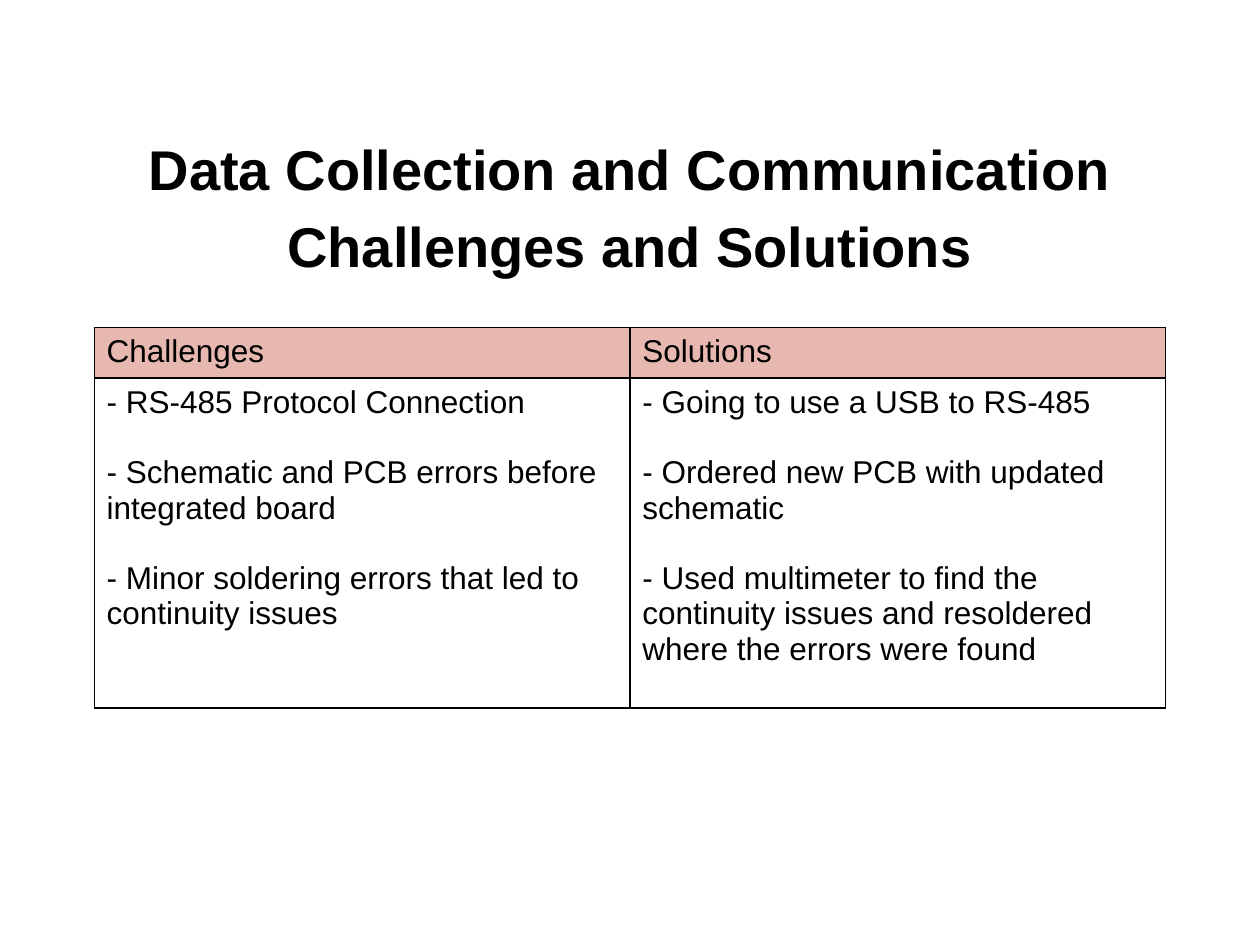
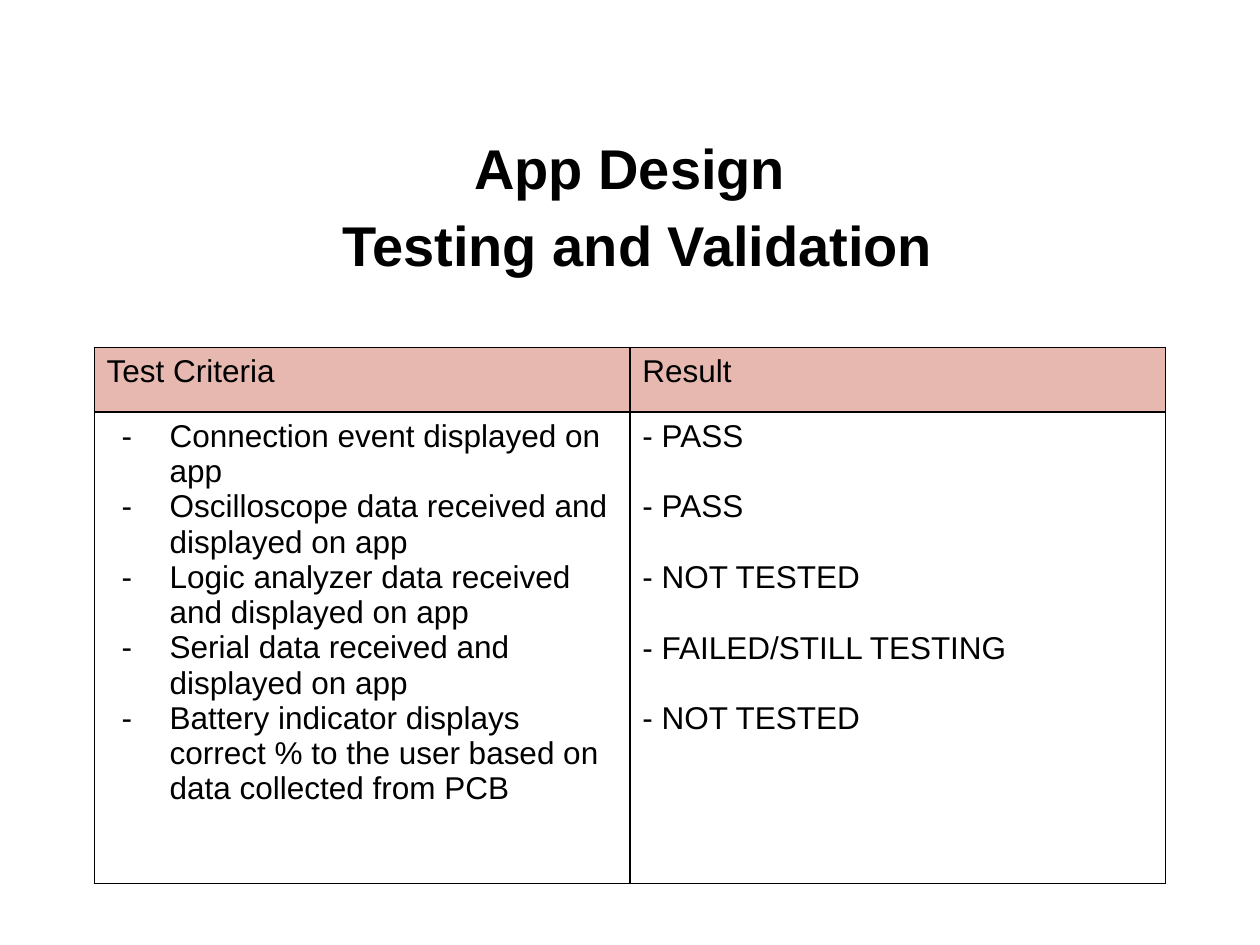
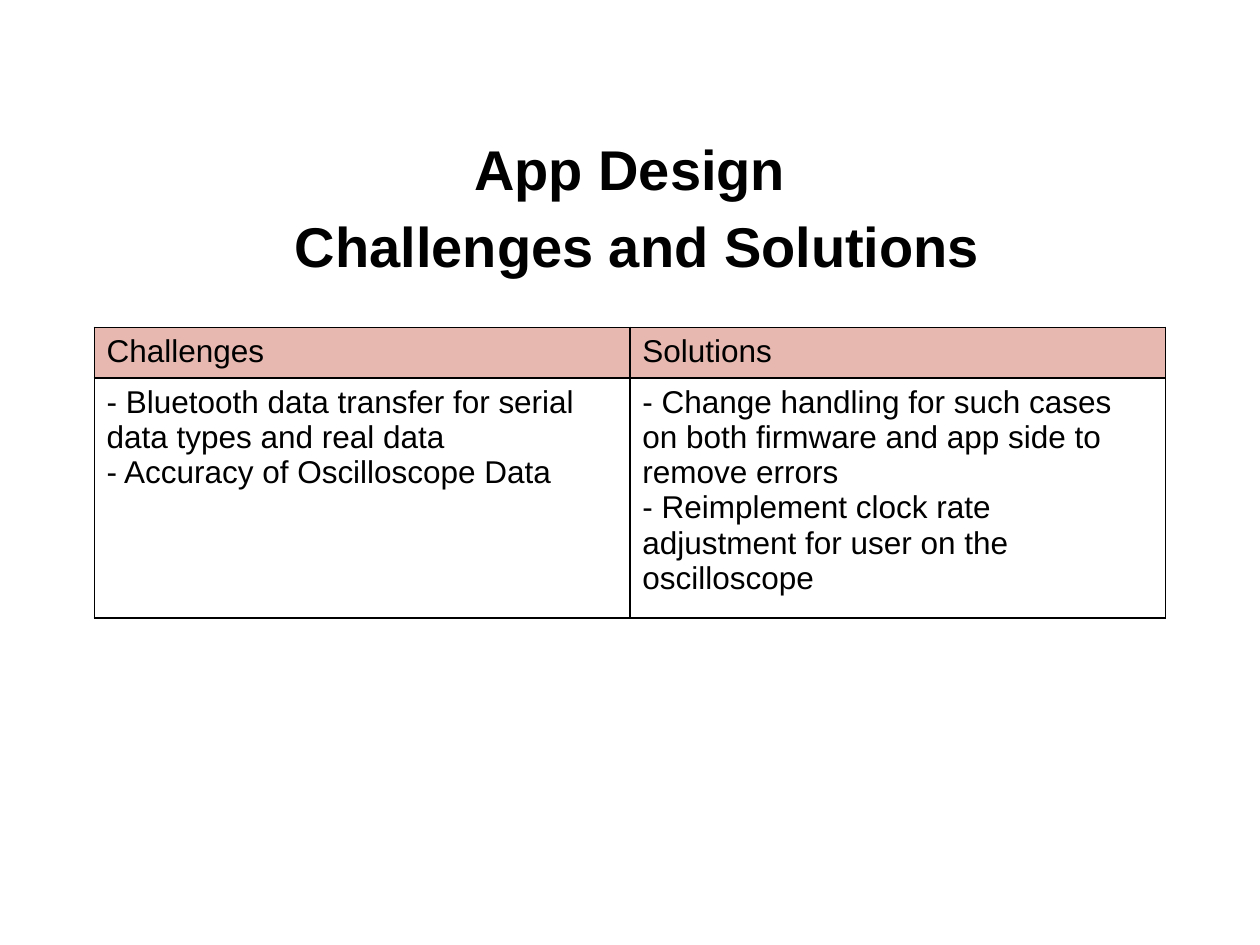
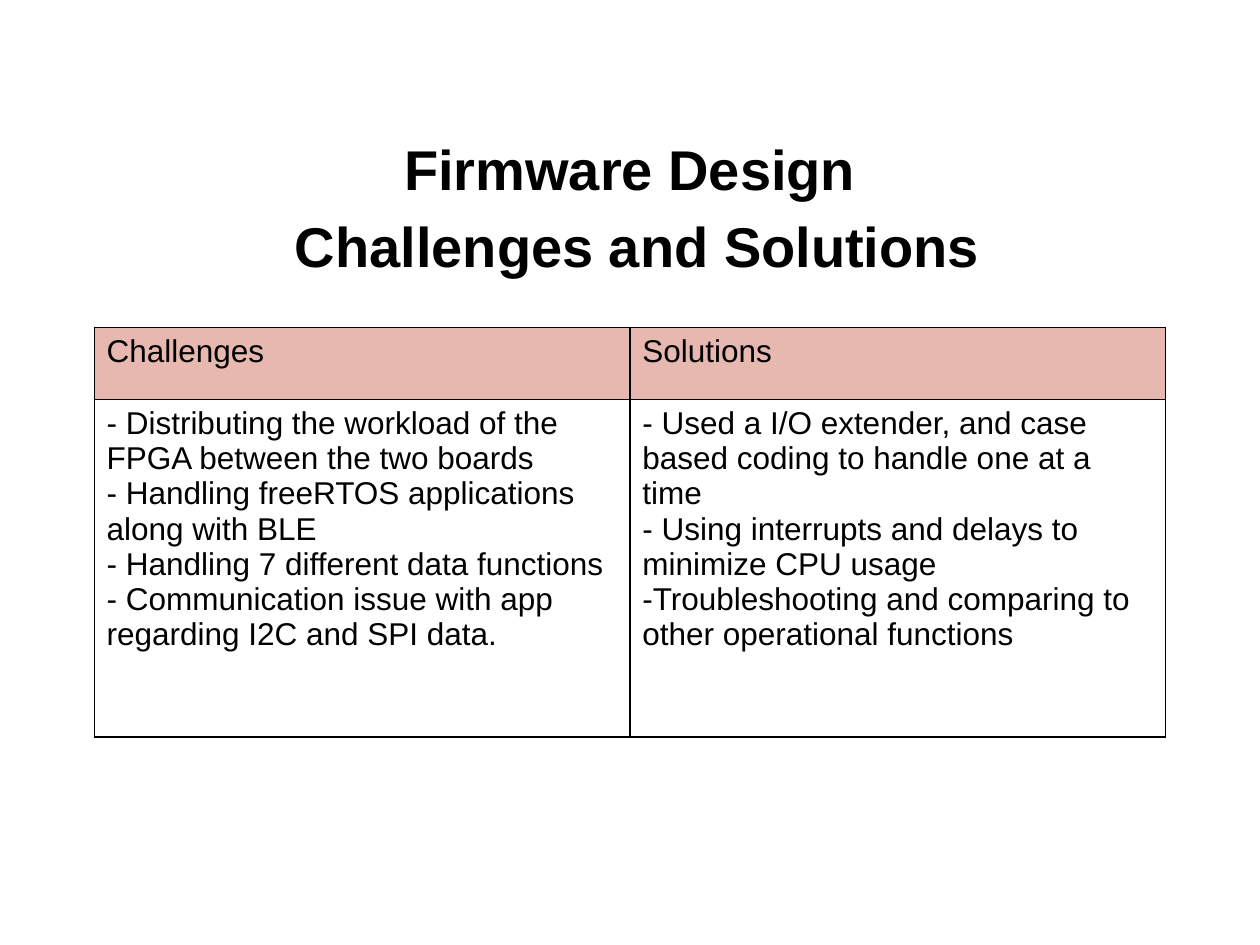
"""Build four slides, each with a centred title over a two-column table."""
import dataclasses

import pptx
import pptx.dml.color
import pptx.enum.text
import pptx.oxml
import pptx.oxml.ns
import pptx.util

Cm = pptx.util.Cm
Pt = pptx.util.Pt

FONT = "Arial"
BLACK = "000000"
HEADER_FILL = "E6B8AF"
BLANK_LINE = 20.2
MARGIN_X, MARGIN_Y = Cm(0.25), Cm(0.13)
INSETS = {"margin_left": MARGIN_X, "margin_right": MARGIN_X,
          "margin_top": MARGIN_Y, "margin_bottom": MARGIN_Y}


@dataclasses.dataclass
class Column:
    """Heading and entries of one table column."""
    heading: str
    entries: list[str]
    gap: float = 0
    bulleted: bool = False


@dataclasses.dataclass
class TableSlide:
    """Content and vertical layout of one slide, in centimetres."""
    title: list[str]
    columns: list[Column]
    header_height: float
    body_height: float
    title_top: float = 2.95
    table_top: float = 6.6


SLIDES = [
    TableSlide(
        ["Data Collection and Communication Challenges and Solutions"],
        [Column("Challenges", [
            "- RS-485 Protocol Connection",
            "- Schematic and PCB errors before integrated board",
            "- Minor soldering errors that led to continuity issues"], gap=BLANK_LINE),
         Column("Solutions", [
             "- Going to use a USB to RS-485",
             "- Ordered new PCB with updated schematic",
             "- Used multimeter to find the continuity issues and resoldered "
             "where the errors were found"], gap=BLANK_LINE)],
        header_height=0.97, body_height=6.65),
    TableSlide(
        ["App Design", "Testing and Validation"],
        [Column("Test Criteria", [
            "Connection event displayed on app",
            "Oscilloscope data received and displayed on app",
            "Logic analyzer data received and displayed on app",
            "Serial data received and displayed on app",
            "Battery indicator displays correct % to the user based on data "
            "collected from PCB"], bulleted=True),
         Column("Result", ["- PASS", "- PASS", "- NOT TESTED",
                           "- FAILED/STILL TESTING", "- NOT TESTED"], gap=BLANK_LINE)],
        header_height=1.3, body_height=9.5, title_top=2.92, table_top=7.01),
    TableSlide(
        ["App Design", "Challenges and Solutions"],
        [Column("Challenges", [
            "- Bluetooth data transfer for serial data types and real data",
            "- Accuracy of Oscilloscope Data"]),
         Column("Solutions", [
             "- Change handling for such cases on both firmware and app side "
             "to remove errors",
             "- Reimplement clock rate adjustment for user on the oscilloscope"])],
        header_height=0.97, body_height=4.83),
    TableSlide(
        ["Firmware Design", "Challenges and Solutions"],
        [Column("Challenges", [
            "- Distributing the workload of the FPGA between the two boards",
            "- Handling freeRTOS applications along with BLE",
            "- Handling 7 different data functions",
            "- Communication issue with app regarding I2C and SPI data."]),
         Column("Solutions", [
             "- Used a I/O extender, and case based coding to handle one at a time",
             "- Using interrupts and delays to minimize CPU usage",
             "-Troubleshooting and comparing to other operational functions"])],
        header_height=1.45, body_height=6.81),
]


def rgb(color: str) -> pptx.dml.color.RGBColor:
    """Return the colour for a hex string."""
    return pptx.dml.color.RGBColor.from_string(color)


def apply(target, values: dict) -> None:
    """Set each named attribute on the target."""
    for name, value in values.items():
        setattr(target, name, value)


def element(xml: str):
    """Parse a DrawingML fragment."""
    return pptx.oxml.parse_xml(xml.replace(" ", f" {pptx.oxml.ns.nsdecls('a')} ", 1))


def indent(p, left: float, first: float = 0) -> None:
    """Indent a paragraph, with an offset for its first line."""
    pPr = p._p.get_or_add_pPr()
    pPr.set("marL", str(Cm(left)))
    pPr.set("indent", str(Cm(first)))


def add_bullet(p) -> None:
    """Give a paragraph a hanging dash."""
    indent(p, 1.27, -0.97)
    pPr = p._p.get_or_add_pPr()
    for xml in (f'<a:buClr ><a:srgbClr val="{BLACK}"/></a:buClr>',
                f'<a:buFont typeface="{FONT}"/>',
                '<a:buChar char="-"/>'):
        pPr.append(element(xml))


def write(tf, lines: list[str], size: float, bold: bool = False) -> list:
    """Write one paragraph per line and return the paragraphs."""
    for i, line in enumerate(lines):
        p = tf.add_paragraph() if i else tf.paragraphs[0]
        r = p.add_run()
        r.text = line
        apply(r.font, {"name": FONT, "size": Pt(size), "bold": bold})
        r.font.color.rgb = rgb(BLACK)
    return list(tf.paragraphs)


def add_title(s, lines: list[str], top: float) -> None:
    """Add the centred slide title."""
    tf = s.shapes.add_textbox(Cm(1.27), Cm(top), Cm(22.86), Cm(2.24)).text_frame
    apply(tf, INSETS | {"word_wrap": True,
                        "vertical_anchor": pptx.enum.text.MSO_ANCHOR.MIDDLE})
    for i, p in enumerate(write(tf, lines, 32, bold=True)):
        apply(p, {"alignment": pptx.enum.text.PP_ALIGN.CENTER, "line_spacing": 1.15})
        if i:
            indent(p, 0.31)


def add_borders(cell) -> None:
    """Draw a thin line on all four sides of a cell."""
    tcPr = cell._tc.get_or_add_tcPr()
    for i, side in enumerate("LRTB"):
        tcPr.insert(i, element(
            f'<a:ln{side} w="{Pt(1)}"><a:solidFill><a:srgbClr val="{BLACK}"/>'
            f'</a:solidFill></a:ln{side}>'))


def fill_column(table, index: int, column: Column) -> None:
    """Fill the header and body cells of one column."""
    table.columns[index].width = Cm(10.8)
    header, body = table.cell(0, index), table.cell(1, index)
    header.fill.solid()
    header.fill.fore_color.rgb = rgb(HEADER_FILL)
    body.fill.background()
    for cell in (header, body):
        apply(cell, INSETS)
        add_borders(cell)
    write(header.text_frame, [column.heading], 18)
    for i, p in enumerate(write(body.text_frame, column.entries, 18)):
        if column.bulleted:
            add_bullet(p)
        if i and column.gap:
            p.space_before = Pt(column.gap)


def add_comparison(s, content: TableSlide) -> None:
    """Add the two-column table."""
    heights = content.header_height, content.body_height
    table = s.shapes.add_table(2, len(content.columns), Cm(1.9), Cm(content.table_top),
                               Cm(21.6), Cm(sum(heights))).table
    apply(table, {"first_row": False, "horz_banding": False})
    for row, height in zip(table.rows, heights):
        row.height = Cm(height)
    for i, column in enumerate(content.columns):
        fill_column(table, i, column)


def main() -> None:
    """Build and save the presentation."""
    prs = pptx.Presentation()
    apply(prs, {"slide_width": Cm(25.4), "slide_height": Cm(19.05)})
    for content in SLIDES:
        s = prs.slides.add_slide(prs.slide_layouts[6])
        add_title(s, content.title, content.title_top)
        add_comparison(s, content)
    prs.save("out.pptx")


if __name__ == "__main__":
    main()
